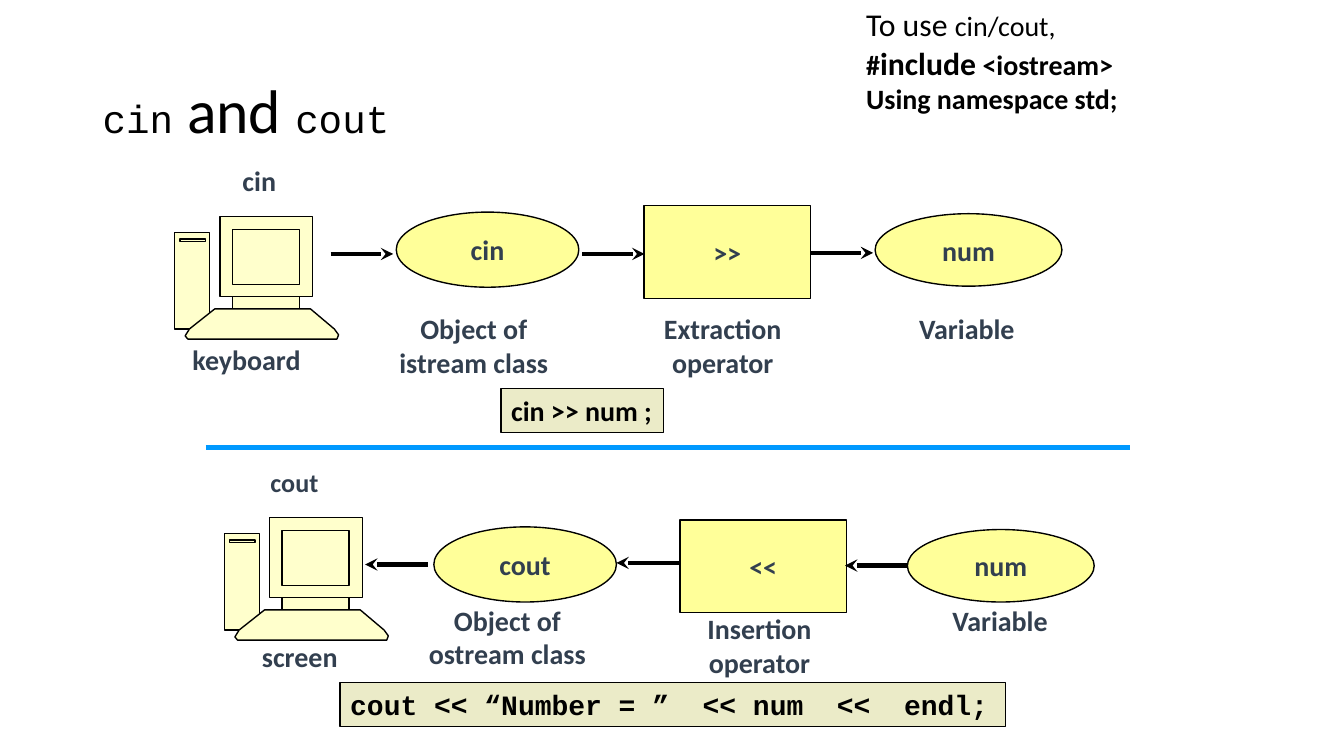
from dataclasses import dataclass

import pptx
import pptx.dml.color
import pptx.enum.shapes
import pptx.enum.text
import pptx.oxml
import pptx.oxml.ns
import pptx.util

Cm = pptx.util.Cm
Pt = pptx.util.Pt
SHAPE = pptx.enum.shapes.MSO_SHAPE
ANCHOR = pptx.enum.text.MSO_ANCHOR
ALIGN = pptx.enum.text.PP_ALIGN

BLACK, SLATE, BLUE = "000000", "323F4F", "0099FF"
PALE, YELLOW, KHAKI = "FFFFCC", "FFFF99", "EBEBC8"
BODY, MONO = "Calibri", "Courier New"
ARROW_LENGTH = 1.18


@dataclass
class Run:
    text: str
    size: float = 15
    font: str = BODY
    color: str = BLACK
    bold: bool = False


@dataclass
class Label:
    text: str
    x: float
    y: float
    w: float
    h: float = 0.84
    size: float = 15


@dataclass
class Flow:
    """One row: computer, stream object, operator and variable."""
    computer: tuple[float, float]
    stream: Label
    operator: Label
    variable: Label
    captions: list[Label]
    arrows: list[tuple[float, float]]
    direction: int
    code: Label
    code_font: str


FLOWS = [
    Flow((3.3, 4.09),
         Label("cin", 7.49, 4.01, 3.45, 1.42),
         Label(">>", 12.17, 3.89, 3.15, 1.75),
         Label("num", 16.54, 4.04, 3.53, 1.37),
         [Label("cin", 4.39, 3, 1.02),
          Label("keyboard", 3.43, 6.38, 2.46),
          Label("Object of\nistream class", 7.34, 5.79, 3.23, 1.47),
          Label("Extraction\noperator", 12.34, 5.79, 2.64, 1.47),
          Label("Variable", 17.17, 5.79, 2.21)],
         [(6.25, 4.8), (11, 4.8), (15.32, 4.78)], 1,
         Label("cin >> num ;", 9.47, 7.34, 3.07), BODY),
    Flow((4.24, 9.78),
         Label("cout", 8.2, 9.96, 3.45, 1.42),
         Label("<<", 12.85, 9.83, 3.15, 1.75),
         Label("num", 17.15, 10.01, 3.53, 1.37),
         [Label("cout", 4.88, 8.71, 1.37, 0.79, 14),
          Label("screen", 4.75, 11.99, 1.83),
          Label("Object of\nostream class", 7.9, 11.3, 3.38, 1.47),
          Label("Insertion\noperator", 13.16, 11.46, 2.39, 1.47),
          Label("Variable", 17.73, 11.3, 2.34)],
         [(8.08, 10.67), (12.83, 10.64), (17.15, 10.69)], -1,
         Label("cout << “Number = ”  << num  <<  endl;", 6.43, 12.9, 12.57), MONO),
]


def rectangle(x: float, y: float, w: float, h: float) -> list[tuple[float, float]]:
    return [(x, y), (x + w, y), (x + w, y + h), (x, y + h)]


COMPUTER = [
    rectangle(0, 0.3, 0.66, 1.83),       # tower
    rectangle(0.1, 0.43, 0.48, 0.05),    # drive slot
    rectangle(0.86, 0, 1.75, 1.52),      # monitor
    rectangle(1.09, 0.25, 1.27, 1.04),   # screen
    rectangle(1.09, 1.52, 1.27, 0.23),   # stand
    [(0.76, 1.75), (2.57, 1.75), (3.02, 2.13), (3.1, 2.24), (3.07, 2.32),
     (0.25, 2.32), (0.2, 2.26), (0.28, 2.13)],  # keyboard
]


def rgb(color: str) -> pptx.dml.color.RGBColor:
    return pptx.dml.color.RGBColor.from_string(color)


def paint(sp, fill: str) -> None:
    sp.shadow.inherit = False
    sp.fill.solid()
    sp.fill.fore_color.rgb = rgb(fill)
    sp.line.color.rgb = rgb(BLACK)
    sp.line.width = Pt(0.75)


def write(sp, paragraphs: list[list[Run]], align=ALIGN.LEFT, anchor=ANCHOR.TOP,
          wrap: bool = True) -> None:
    tf = sp.text_frame
    frame_format = {
        "margin_left": Cm(0.19), "margin_right": Cm(0.19),
        "margin_top": Cm(0.1), "margin_bottom": Cm(0.1),
        "word_wrap": wrap, "vertical_anchor": anchor,
    }
    for name, value in frame_format.items():
        setattr(tf, name, value)
    for i, runs in enumerate(paragraphs):
        p = tf.add_paragraph() if i else tf.paragraphs[0]
        p.alignment = align
        for run in runs:
            r = p.add_run()
            r.text = run.text
            run_format = {"size": Pt(run.size), "name": run.font, "bold": run.bold}
            for name, value in run_format.items():
                setattr(r.font, name, value)
            r.font.color.rgb = rgb(run.color)


def add_text(s, x: float, y: float, w: float, h: float, paragraphs: list[list[Run]], **layout):
    sp = s.shapes.add_textbox(Cm(x), Cm(y), Cm(w), Cm(h))
    write(sp, paragraphs, **layout)
    return sp


def add_caption(s, c: Label) -> None:
    lines = [[Run(t, c.size, color=SLATE, bold=True)] for t in c.text.split("\n")]
    add_text(s, c.x, c.y, c.w, c.h, lines, align=ALIGN.CENTER, wrap=False)


def add_box(s, kind, b: Label, fill: str, run: Run, **layout) -> None:
    sp = s.shapes.add_shape(kind, Cm(b.x), Cm(b.y), Cm(b.w), Cm(b.h))
    paint(sp, fill)
    write(sp, [[run]], **layout)


def add_line(s, x1: float, x2: float, y: float, color: str, arrow: bool = False) -> None:
    sp = s.shapes.add_connector(pptx.enum.shapes.MSO_CONNECTOR.STRAIGHT,
                                Cm(x1), Cm(y), Cm(x2), Cm(y))
    sp.line.color.rgb = rgb(color)
    sp.line.width = Pt(2.25)
    props = sp._element.spPr
    if arrow:
        tail = pptx.oxml.parse_xml(
            f'<a:tailEnd {pptx.oxml.ns.nsdecls("a")} type="stealth"/>')
        sp.line._get_or_add_ln().append(tail)
    props.append(pptx.oxml.parse_xml(f'<a:effectLst {pptx.oxml.ns.nsdecls("a")}/>'))


def add_computer(s, x: float, y: float) -> None:
    group = s.shapes.add_group_shape()
    for part in COMPUTER:
        points = [(Cm(x + dx), Cm(y + dy)) for dx, dy in part]
        builder = group.shapes.build_freeform(*points[0])
        builder.add_line_segments(points[1:], close=True)
        paint(builder.convert_to_shape(), PALE)


def add_flow(s, flow: Flow) -> None:
    add_computer(s, *flow.computer)
    nodes = [(SHAPE.OVAL, flow.stream), (SHAPE.RECTANGLE, flow.operator),
             (SHAPE.OVAL, flow.variable)]
    for kind, node in nodes:
        add_box(s, kind, node, YELLOW, Run(node.text, color=SLATE, bold=True),
                align=ALIGN.CENTER, anchor=ANCHOR.MIDDLE)
    for caption in flow.captions:
        add_caption(s, caption)
    for x, y in flow.arrows:
        add_line(s, x, x + flow.direction * ARROW_LENGTH, y, BLACK, arrow=True)
    add_box(s, SHAPE.RECTANGLE, flow.code, KHAKI,
            Run(flow.code.text, font=flow.code_font, bold=True))


def main() -> None:
    prs = pptx.Presentation()
    prs.slide_width, prs.slide_height = Cm(25.4), Cm(14.29)
    s = prs.slides.add_slide(prs.slide_layouts[6])
    title = add_text(s, 1.75, 0.76, 21.9, 2.77,
                     [[Run("cin", 21, MONO), Run(" and ", 33), Run("cout", 21, MONO)]],
                     anchor=ANCHOR.MIDDLE)
    title.text_frame.paragraphs[0].line_spacing = 0.9
    for flow in FLOWS:
        add_flow(s, flow)
    add_line(s, 3.89, 21.36, 8.46, BLUE)
    add_text(s, 16.18, 0, 5.18, 2.24, [
        [Run("To use ", 17), Run("cin/cout,")],
        [Run("#", bold=True), Run("include", 17, bold=True), Run(" <iostream>", bold=True)],
        [Run("Using namespace std;", bold=True)],
    ])
    prs.save("out.pptx")


if __name__ == "__main__":
    main()
